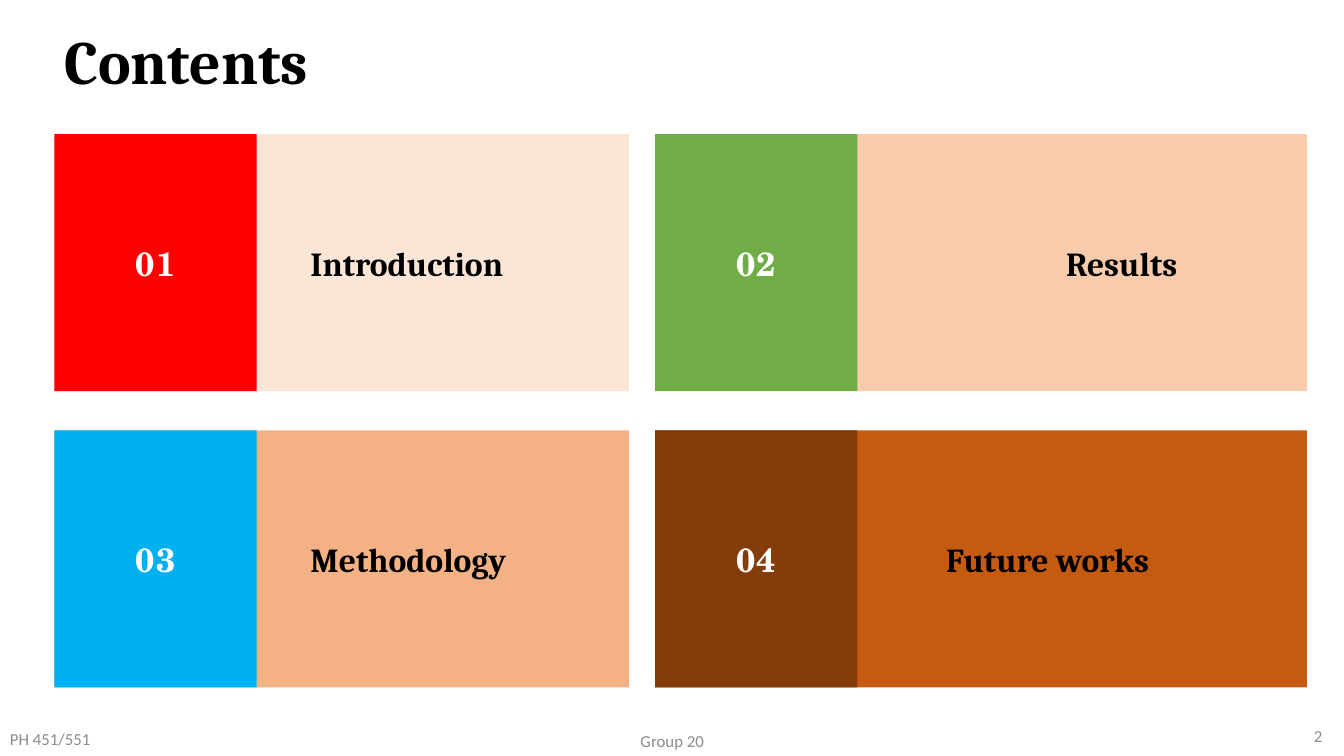
from pptx import Presentation
from pptx.dml.color import RGBColor
from pptx.enum.shapes import MSO_SHAPE
from pptx.enum.text import MSO_ANCHOR, MSO_AUTO_SIZE, PP_ALIGN
from pptx.util import Pt

RECTANGLE = MSO_SHAPE.RECTANGLE
TOP, MIDDLE = MSO_ANCHOR.TOP, MSO_ANCHOR.MIDDLE
LEFT, CENTER, RIGHT = PP_ALIGN.LEFT, PP_ALIGN.CENTER, PP_ALIGN.RIGHT
NO_AUTOFIT = MSO_AUTO_SIZE.NONE

BLACK = RGBColor(0x00, 0x00, 0x00)
WHITE = RGBColor(0xFF, 0xFF, 0xFF)
GRAY = RGBColor(0x8C, 0x8C, 0x8C)
RED = RGBColor(0xFF, 0x00, 0x00)
GREEN = RGBColor(0x70, 0xAD, 0x47)
BLUE = RGBColor(0x00, 0xB0, 0xF0)
BROWN = RGBColor(0x84, 0x3C, 0x0B)
PALE_PEACH = RGBColor(0xFB, 0xE5, 0xD6)
PEACH = RGBColor(0xF8, 0xCB, 0xAD)
APRICOT = RGBColor(0xF4, 0xB1, 0x83)
RUST = RGBColor(0xC5, 0x5A, 0x11)

COLUMNS = ((38.9, 410.4), (468, 465.5))
FIRST_ROW, ROW_PITCH = 95.8, 211.6
CARD_HEIGHT, NUMBER_WIDTH = 183.6, 144.4

CARDS = (
    ("0 1", "Introduction", RED, PALE_PEACH, (102.2, 9.2)),
    ("0 2", "Results", GREEN, PEACH, (247, 46)),
    ("0 3", "Methodology", BLUE, APRICOT, (102.2, 7.2)),
    ("0 4", "Future works", BROWN, RUST, (102.2, 7.2)),
)
FOOTERS = (
    ("PH 451/551", 0, 513.4, 216, LEFT),
    ("Group 20", 318.2, 514.8, 324, CENTER),
    ("2", 735.8, 511.2, 216, RIGHT),
)


class SlideBuilder:
    heading_font = "Cambria"
    number_font = "TeX Gyre Schola"
    footer_font = "Calibri"

    def __init__(self, slide):
        self.slide = slide

    def set_text(self, shape, text, font, size, color, bold, alignment, anchor):
        frame = shape.text_frame
        frame.text = text
        frame.word_wrap = True
        frame.auto_size = NO_AUTOFIT
        frame.vertical_anchor = anchor
        paragraph = frame.paragraphs[0]
        paragraph.alignment = alignment
        paragraph.font.name = font
        paragraph.font.size = Pt(size)
        paragraph.font.bold = bold
        paragraph.font.color.rgb = color
        return paragraph

    def title(self, text):
        shape = self.slide.shapes.title
        shape.left, shape.top = Pt(38.9), Pt(13)
        shape.width, shape.height = Pt(903.6), Pt(70)
        self.set_text(shape, text, self.heading_font, 44, BLACK, True, LEFT, TOP)

    def rectangle(self, left, top, width, fill):
        shape = self.slide.shapes.add_shape(
            RECTANGLE, Pt(left), Pt(top), Pt(width), Pt(CARD_HEIGHT))
        shape.shadow.inherit = False
        shape.fill.solid()
        shape.fill.fore_color.rgb = fill
        shape.line.fill.background()
        return shape

    def panel(self, left, top, width, fill, text, margins):
        shape = self.rectangle(left, top, width, fill)
        self.set_text(shape, text, self.heading_font, 24, BLACK, True, CENTER, MIDDLE)
        shape.text_frame.margin_left = Pt(margins[0])
        shape.text_frame.margin_right = Pt(margins[1])

    def number(self, left, top, fill, text):
        shape = self.rectangle(left, top, NUMBER_WIDTH, fill)
        paragraph = self.set_text(
            shape, text, self.number_font, 24, WHITE, True, CENTER, MIDDLE)
        paragraph.runs[0]._r.get_or_add_rPr().set("spc", "-300")

    def footer(self, text, left, top, width, alignment):
        shape = self.slide.shapes.add_textbox(Pt(left), Pt(top), Pt(width), Pt(28.8))
        self.set_text(shape, text, self.footer_font, 12, GRAY, False, alignment, MIDDLE)


def main():
    presentation = Presentation()
    presentation.slide_width, presentation.slide_height = Pt(960), Pt(540)
    slide = presentation.slides.add_slide(presentation.slide_layouts[5])
    builder = SlideBuilder(slide)
    builder.title("Contents")
    for index, (number, heading, accent, fill, margins) in enumerate(CARDS):
        row, column = divmod(index, 2)
        left, width = COLUMNS[column]
        top = FIRST_ROW + row * ROW_PITCH
        builder.panel(left, top, width, fill, heading, margins)
        builder.number(left, top, accent, number)
    for footer in FOOTERS:
        builder.footer(*footer)
    presentation.save("out.pptx")


if __name__ == "__main__":
    main()
